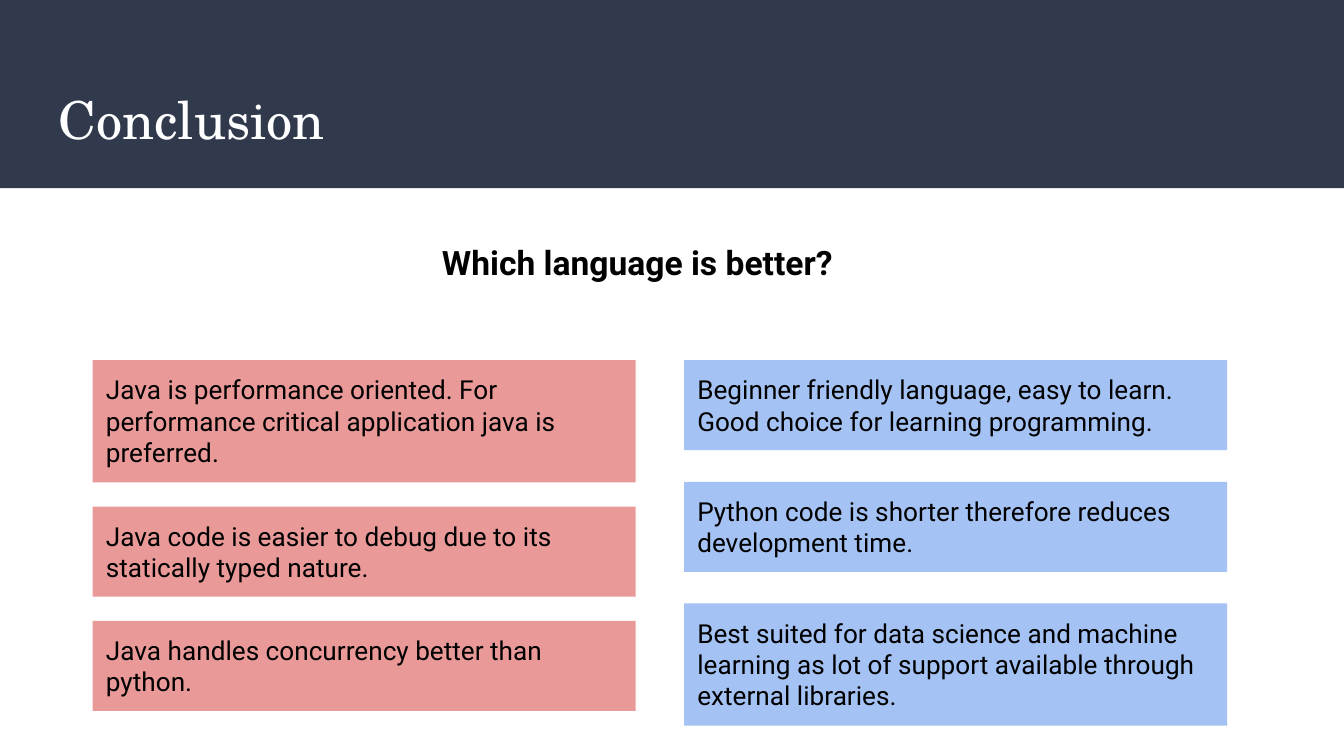
import pptx
import pptx.util
import pptx.dml.color
import pptx.enum.shapes
import pptx.enum.text

Inches = pptx.util.Inches
COLORS = {"navy": "31394D", "red": "EA9999", "blue": "A4C2F4",
          "white": "FFFFFF", "black": "000000"}
BODY = {"name": "Roboto", "size": pptx.util.Pt(14), "bold": False}
HEAD = {"name": "Roboto", "size": pptx.util.Pt(18), "bold": True}
TITLE = {"name": "TeX Gyre Schola", "size": pptx.util.Pt(28), "bold": False}


def add_box(slide, area, fill=None):
    """Add a rectangle without outline, or a text box if there is no fill."""
    place = [Inches(v) for v in area]
    if fill is None:
        return slide.shapes.add_textbox(*place)
    box = slide.shapes.add_shape(pptx.enum.shapes.MSO_SHAPE.RECTANGLE, *place)
    box.shadow.inherit = False
    box.fill.solid()
    box.fill.fore_color.rgb = pptx.dml.color.RGBColor.from_string(COLORS[fill])
    box.line.fill.background()
    return box


def write(box, text, font, color="black"):
    frame = box.text_frame
    frame.word_wrap = True
    frame.vertical_anchor = pptx.enum.text.MSO_ANCHOR.TOP
    for side in ("left", "top", "right", "bottom"):
        setattr(frame, "margin_" + side, Inches(0.1))
    para = frame.paragraphs[0]
    para.alignment = pptx.enum.text.PP_ALIGN.LEFT
    run = para.add_run()
    run.text = text
    for key, value in font.items():
        setattr(run.font, key, value)
    run.font.color.rgb = pptx.dml.color.RGBColor.from_string(COLORS[color])


deck = pptx.Presentation()
deck.slide_width = Inches(10)
deck.slide_height = Inches(10 * 9 / 16)
slide = deck.slides.add_slide(deck.slide_layouts[6])

# Header and question
add_box(slide, (0, 0, 10, 1.4), "navy")
write(add_box(slide, (0.34, 0.55, 9.32, 0.68)), "Conclusion", TITLE, "white")
write(add_box(slide, (3.19, 1.7, 3.43, 0.5)), "Which language is better?", HEAD)

# One column per language: left, bottom, fill, (height, text) of each card
TWO, THREE = 0.67, 0.91  # card heights for two and three lines
TOP, WIDTH = 2.68, 4.04
columns = [
    (0.69, 5.29, "red", [
        (THREE, "Java is performance oriented. For performance critical "
                "application java is preferred."),
        (TWO, "Java code is easier to debug due to its statically typed nature."),
        (TWO, "Java handles concurrency better than python."),
    ]),
    (5.09, 5.4, "blue", [
        (TWO, "Beginner friendly language, easy to learn. Good choice for "
              "learning programming."),
        (TWO, "Python code is shorter therefore reduces development time."),
        (THREE, "Best suited for data science and machine learning as lot of "
                "support available through external libraries."),
    ]),
]
for left, bottom, fill, cards in columns:
    used = sum(height for height, text in cards)
    gap = (bottom - TOP - used) / (len(cards) - 1)
    top = TOP
    for height, text in cards:
        write(add_box(slide, (left, top, WIDTH, height), fill), text, BODY)
        top += height + gap

deck.save("out.pptx")
